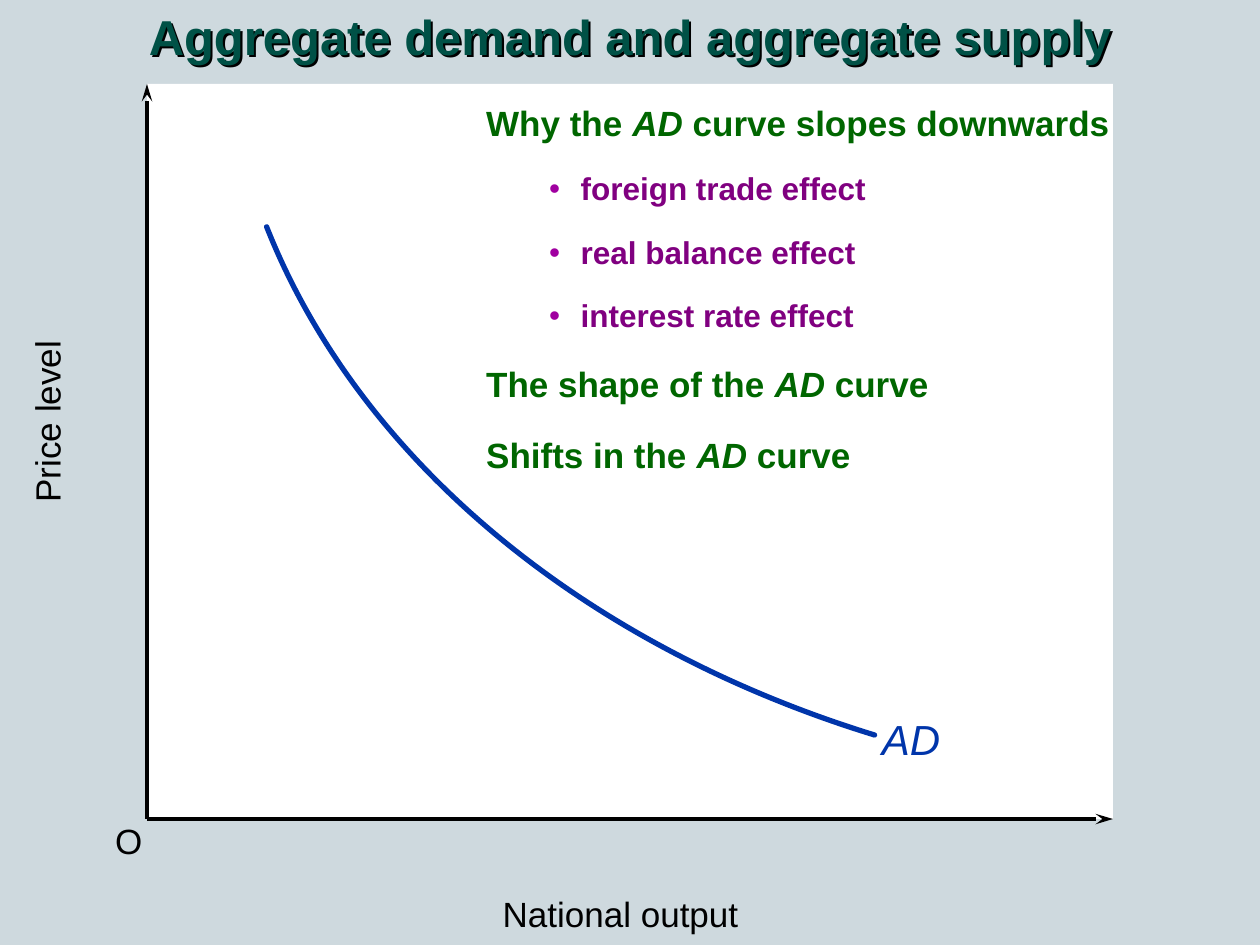
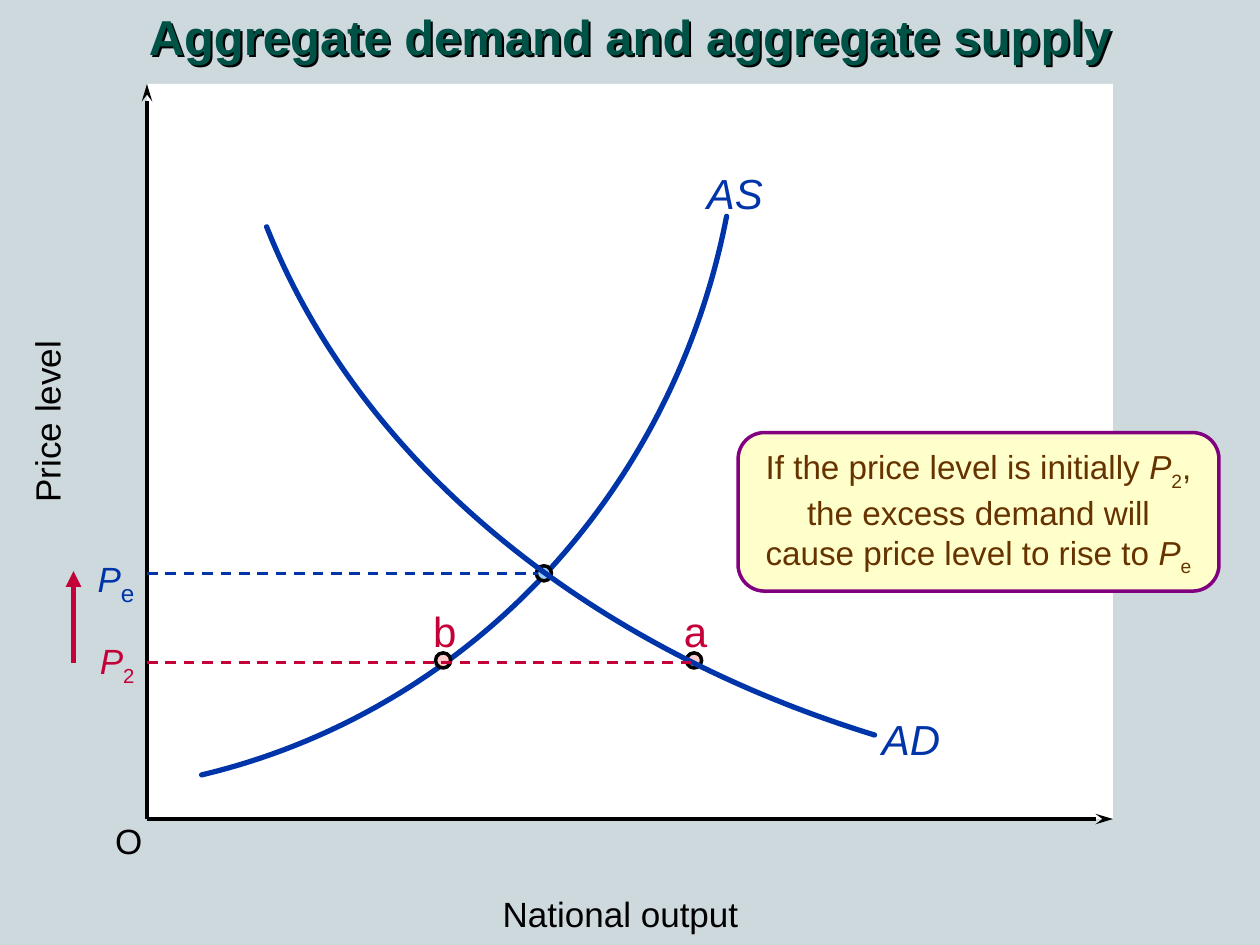
from collections import namedtuple
from dataclasses import dataclass

from lxml.etree import SubElement
from pptx import Presentation
from pptx.dml.color import RGBColor
from pptx.enum.dml import MSO_LINE
from pptx.enum.shapes import MSO_CONNECTOR, MSO_SHAPE
from pptx.enum.text import MSO_ANCHOR, MSO_AUTO_SIZE, PP_ALIGN
from pptx.oxml.ns import qn
from pptx.util import Inches, Pt

COLUMNS, ROWS = 120, 90
CELL = Inches(10) / COLUMNS
TITLE = "Aggregate demand and aggregate supply"


@dataclass(frozen=True)
class Theme:
    font: str = "Arial"
    backdrop: str = "CED9DE"
    panel: str = "FFFFFF"
    ink: str = "000000"
    title: str = "005146"
    heading: str = "006600"
    effect: str = "800080"
    bullet: str = "A000A0"
    curve: str = "0035AA"
    excess: str = "C40038"
    equilibrium: str = "99CCFF"
    gap_point: str = "FFCCCC"
    note: str = "FFFFCC"
    note_text: str = "663300"
    title_size: int = 28
    curve_size: int = 24
    label_size: int = 20
    note_size: int = 19
    effect_size: int = 18
    axis_width: float = 2
    curve_width: float = 3
    guide_width: float = 1.5
    shadow_distance: float = 1.7


THEME = Theme()
ITALIC = {"italic": True}
SUBSCRIPT = {"baseline": -25000}
LARGE_SUBSCRIPT = {"baseline": -25000, "size": THEME.curve_size}


class Box(namedtuple("Box", "left top width height")):
    """An area of the slide, in grid cells."""

    def inner(self, left, top, width, height):
        return Box(self.left + left, self.top + top, width, height)

    def point(self, column, row):
        return round((self.left + column) * CELL), round((self.top + row) * CELL)

    def emu(self):
        return [round(cells * CELL) for cells in self]


SLIDE = Box(0, 0, COLUMNS, ROWS)
PLOT = SLIDE.inner(14, 8, 92, 70)

# Bezier points, in cells of the plot
AD_CURVE = [(69.3, 62), (41.3, 53.4), (20.1, 35.6), (11.4, 13.6)]
AS_CURVE = [(55.2, 12.6), (50.1, 39), (30.5, 59.8), (5.2, 65.8)]
EQUILIBRIUM = (37.8, 46.6)
POINT_A = (52.1, 54.9)
POINT_B = (28.2, 54.9)
P2_ROW = 55.1


def rgb(color):
    return RGBColor.from_string(color)


def apply(target, formats):
    for name, value in formats.items():
        setattr(target, name, value)


def write(para, spans, color, size, bold=False):
    """Add (text, style) spans to a paragraph."""
    for text, style in spans:
        span = para.add_run()
        span.text = text
        apply(span.font, {"name": THEME.font, "size": Pt(style.get("size", size)),
                          "bold": bold, "italic": style.get("italic", False)})
        span.font.color.rgb = rgb(color)
        if "baseline" in style:
            span.font._element.set("baseline", str(style["baseline"]))


def stroke(shape, color, width):
    shape.line.color.rgb = rgb(color)
    shape.line.width = Pt(width)


def place(shape, box):
    apply(shape, dict(zip(("left", "top", "width", "height"), box.emu())))


def add_label(page, box, spans, color=THEME.ink, size=THEME.label_size,
              align=PP_ALIGN.LEFT, rotation=0):
    label = page.shapes.add_textbox(*box.emu())
    label.rotation = rotation
    apply(label.text_frame, {"word_wrap": False,
                             "auto_size": MSO_AUTO_SIZE.SHAPE_TO_FIT_TEXT})
    para = label.text_frame.paragraphs[0]
    para.alignment = align
    write(para, spans, color, size)


def add_line(page, box, start, end, color, width, arrow=None, dashed=False):
    line = page.shapes.add_connector(
        MSO_CONNECTOR.STRAIGHT, *box.point(*start), *box.point(*end))
    stroke(line, color, width)
    if dashed:
        line.line.dash_style = MSO_LINE.DASH
    if arrow:
        SubElement(line.line._get_or_add_ln(), qn("a:tailEnd"), arrow)
    SubElement(line._element.spPr, qn("a:effectLst"))


def add_curve(page, box, points):
    """Draw one cubic Bezier segment through the given control points."""
    start, *rest = [box.point(*point) for point in points]
    builder = page.shapes.build_freeform(*start)
    builder.add_line_segments(rest, close=False)
    curve = builder.convert_to_shape()
    outline = curve._element.find(".//" + qn("a:path"))
    bezier = SubElement(outline, qn("a:cubicBezTo"))
    for segment in outline.findall(qn("a:lnTo")):
        bezier.append(segment[0])
        outline.remove(segment)
    curve.shadow.inherit = False
    curve.fill.background()
    stroke(curve, THEME.curve, THEME.curve_width)
    curve.line._get_or_add_ln().set("cap", "rnd")


def add_solid(page, kind, box, fill, outline=None):
    shape = page.shapes.add_shape(kind, *box.emu())
    shape.shadow.inherit = False
    shape.fill.solid()
    shape.fill.fore_color.rgb = rgb(fill)
    if outline:
        stroke(shape, outline, THEME.axis_width)
    else:
        shape.line.fill.background()
    return shape


def add_point(page, box, center, fill, name=None):
    column, row = center
    size = 1.44
    add_solid(page, MSO_SHAPE.OVAL,
              box.inner(column - size / 2, row - size / 2, size, size),
              fill, THEME.ink)
    if name:
        add_label(page, box.inner(column - 2.2, row - 5.8, 4.7, 6), [(name, {})],
                  THEME.excess, THEME.curve_size, PP_ALIGN.CENTER)


def add_price(page, box, row, column, color, mark):
    """Draw a dashed price guide and its subscripted label left of the axis."""
    add_line(page, box, (0, row), (column, row), color, THEME.guide_width, dashed=True)
    add_label(page, box.inner(-6, row - 2.8, 6, 6), [("P", ITALIC), mark],
              color, align=PP_ALIGN.RIGHT)


def add_axes(page, box):
    add_solid(page, MSO_SHAPE.RECTANGLE, box, THEME.panel)
    for end in ((0, 0), (box.width, box.height)):
        add_line(page, box, (0, box.height), end, THEME.ink, THEME.axis_width,
                 {"type": "stealth", "len": "lg"})
    add_label(page, box.inner(-4.2, 69.5, 5, 5.2), [("O", {})])
    add_label(page, box.inner(-18.5, 29.5, 17.9, 5.2), [("Price level", {})],
              rotation=270)
    add_label(page, box.inner(32.1, 76.4, 26, 5.2), [("National output", {})],
              align=PP_ALIGN.CENTER)


def add_demand(page, box):
    add_curve(page, box, AD_CURVE)
    add_label(page, box.inner(68.8, 59.4, 8, 6), [("AD", ITALIC)],
              THEME.curve, THEME.curve_size)


def add_supply(page, box):
    add_curve(page, box, AS_CURVE)
    add_label(page, box.inner(52.1, 7.4, 7.8, 6), [("AS", ITALIC)],
              THEME.curve, THEME.curve_size, PP_ALIGN.CENTER)


def add_note(page, box):
    note = add_solid(page, MSO_SHAPE.ROUNDED_RECTANGLE, box, THEME.note, THEME.effect)
    apply(note.text_frame, {"word_wrap": True, "vertical_anchor": MSO_ANCHOR.MIDDLE,
                            "margin_left": Inches(0.12), "margin_right": Inches(0.12)})
    para = note.text_frame.paragraphs[0]
    para.alignment = PP_ALIGN.CENTER
    write(para, [("If the price level is initially ", {}), ("P", ITALIC),
                 ("2", SUBSCRIPT),
                 (", the excess demand will cause price level to rise to ", {}),
                 ("P", ITALIC), ("e", SUBSCRIPT)], THEME.note_text, THEME.note_size)


def cast_text_shadow(shape):
    """Give an unfilled shape a hard shadow, which then falls from its text."""
    shape.fill.background()
    shape.line.fill.background()
    shape.shadow.inherit = False
    effects = shape._element.spPr.find(qn("a:effectLst"))
    shadow = SubElement(effects, qn("a:outerShdw"), {
        "blurRad": "0", "dist": str(Pt(THEME.shadow_distance)), "dir": "2700000",
        "algn": "tl", "rotWithShape": "0"})
    SubElement(shadow, qn("a:srgbClr"), val=THEME.ink)


def fill_title(page, box):
    title = page.shapes.title
    place(title, box)
    apply(title.text_frame, {"auto_size": MSO_AUTO_SIZE.NONE, "word_wrap": True,
                             "vertical_anchor": MSO_ANCHOR.TOP})
    para = title.text_frame.paragraphs[0]
    para.alignment = PP_ALIGN.CENTER
    write(para, [(TITLE, {})], THEME.title, THEME.title_size, bold=True)
    cast_text_shadow(title)


def set_bullet(para, margin, indent, bullet):
    props = para._element.get_or_add_pPr()
    props.set("marL", str(Inches(margin)))
    props.set("indent", str(Inches(indent)))
    if bullet:
        color = SubElement(props, qn("a:buClr"))
        SubElement(color, qn("a:srgbClr"), val=THEME.bullet)
        SubElement(props, qn("a:buFont"), typeface=THEME.font)
        SubElement(props, qn("a:buChar"), char=bullet)
    else:
        SubElement(props, qn("a:buNone"))


def fill_outline(page, box):
    body = page.placeholders[1]
    place(body, box)
    frame = body.text_frame
    apply(frame, {"auto_size": MSO_AUTO_SIZE.NONE, "word_wrap": True})
    page.shapes._spTree.append(body._element)
    lines = [(0, ("Why the ", "AD", " curve slopes downwards")),
             (1, ("foreign trade effect",)),
             (1, ("real balance effect",)),
             (1, ("interest rate effect",)),
             (0, ("The shape of the ", "AD", " curve")),
             (0, ("Shifts in the ", "AD", " curve"))]
    looks = [((0.81, -0.31, None), 18.7, THEME.heading, THEME.label_size),
             ((1.25, -0.25, "•"), 16.9, THEME.effect, THEME.effect_size)]
    for number, (level, texts) in enumerate(lines):
        indents, space, color, size = looks[level]
        para = frame.add_paragraph() if number else frame.paragraphs[0]
        set_bullet(para, *indents)
        apply(para, {"level": level, "line_spacing": 0.9,
                     "space_before": Pt(space if number else 0)})
        spans = [(text, ITALIC if text == "AD" else {}) for text in texts]
        write(para, spans, color, size, bold=True)


def start_page(deck, layout):
    page = deck.slides.add_slide(deck.slide_layouts.get_by_name(layout))
    fill_title(page, SLIDE.inner(0, 0, COLUMNS, 6.8))
    add_axes(page, PLOT)
    return page


def build_demand_page(deck):
    page = start_page(deck, "Title and Content")
    add_demand(page, PLOT)
    fill_outline(page, PLOT.inner(25.1, 1.5, 71.6, 36.7))


def build_equilibrium_page(deck):
    page = start_page(deck, "Title Only")
    add_supply(page, PLOT)
    add_point(page, PLOT, EQUILIBRIUM, THEME.equilibrium)
    for center, name in ((POINT_A, "a"), (POINT_B, "b")):
        add_point(page, PLOT, center, THEME.gap_point, name)
    add_demand(page, PLOT)
    column, row = EQUILIBRIUM
    add_price(page, PLOT, row, column - 0.6, THEME.curve, ("e", LARGE_SUBSCRIPT))
    add_price(page, PLOT, P2_ROW, POINT_A[0] - 0.3, THEME.excess, ("2", SUBSCRIPT))
    add_line(page, PLOT, (-7, P2_ROW), (-7, row - 0.2), THEME.excess,
             THEME.curve_width, {"type": "triangle"})
    add_note(page, PLOT.inner(56.3, 33.2, 45.8, 15.1))


def main():
    deck = Presentation()
    deck.slide_width, deck.slide_height = SLIDE.emu()[2:]
    backdrop = deck.slide_master.background.fill
    backdrop.solid()
    backdrop.fore_color.rgb = rgb(THEME.backdrop)
    build_demand_page(deck)
    build_equilibrium_page(deck)
    deck.save("out.pptx")


if __name__ == "__main__":
    main()
